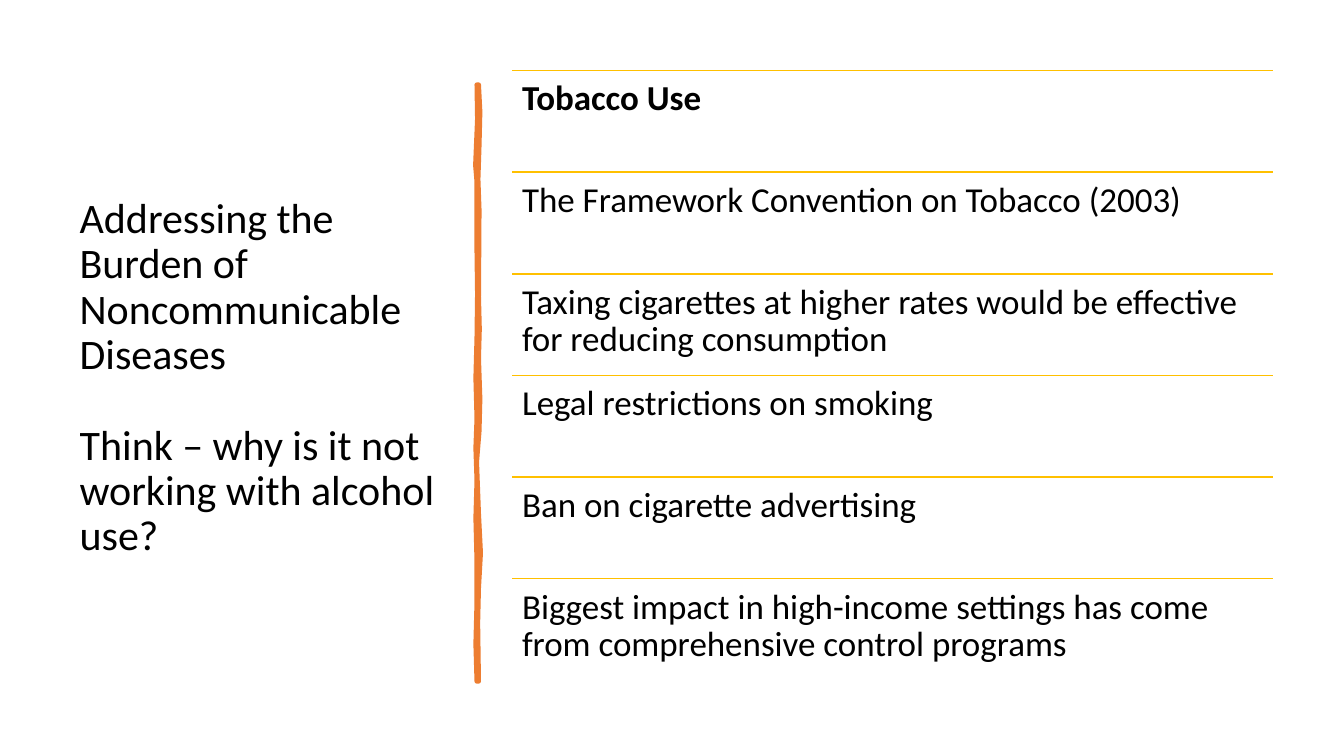
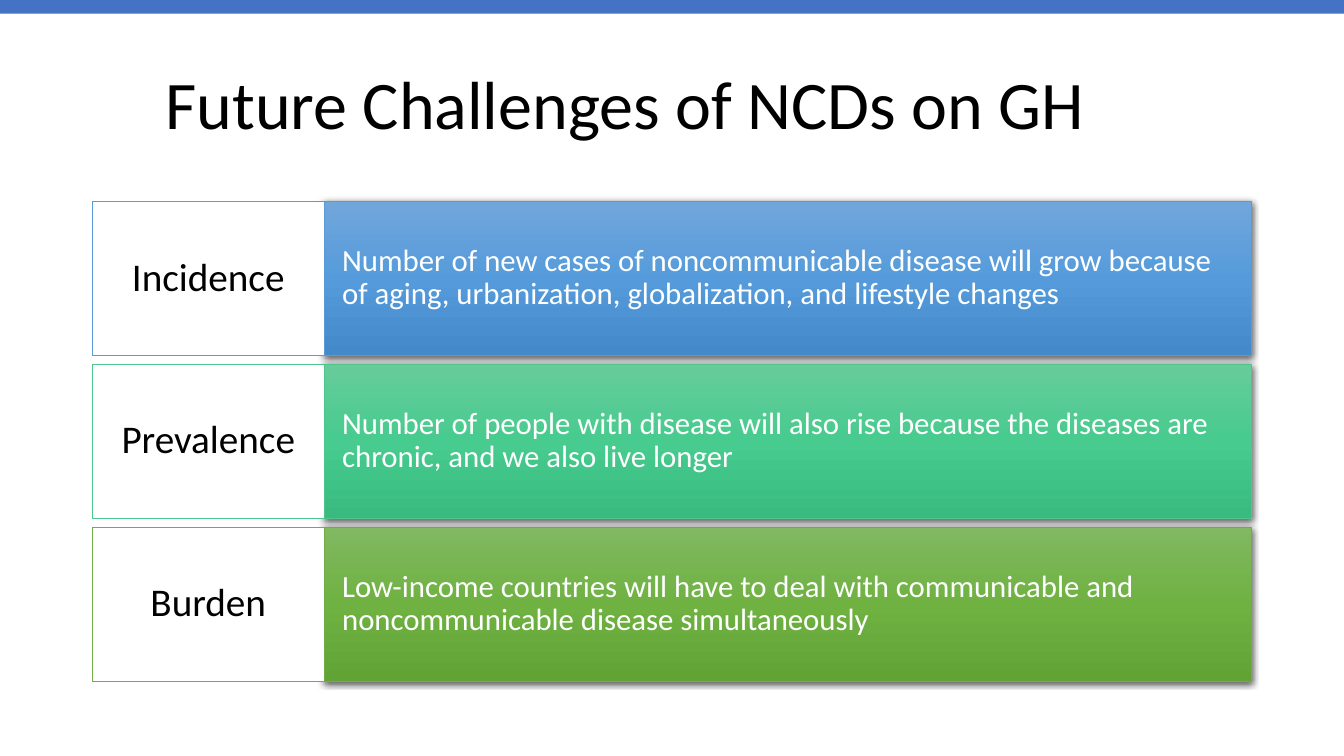
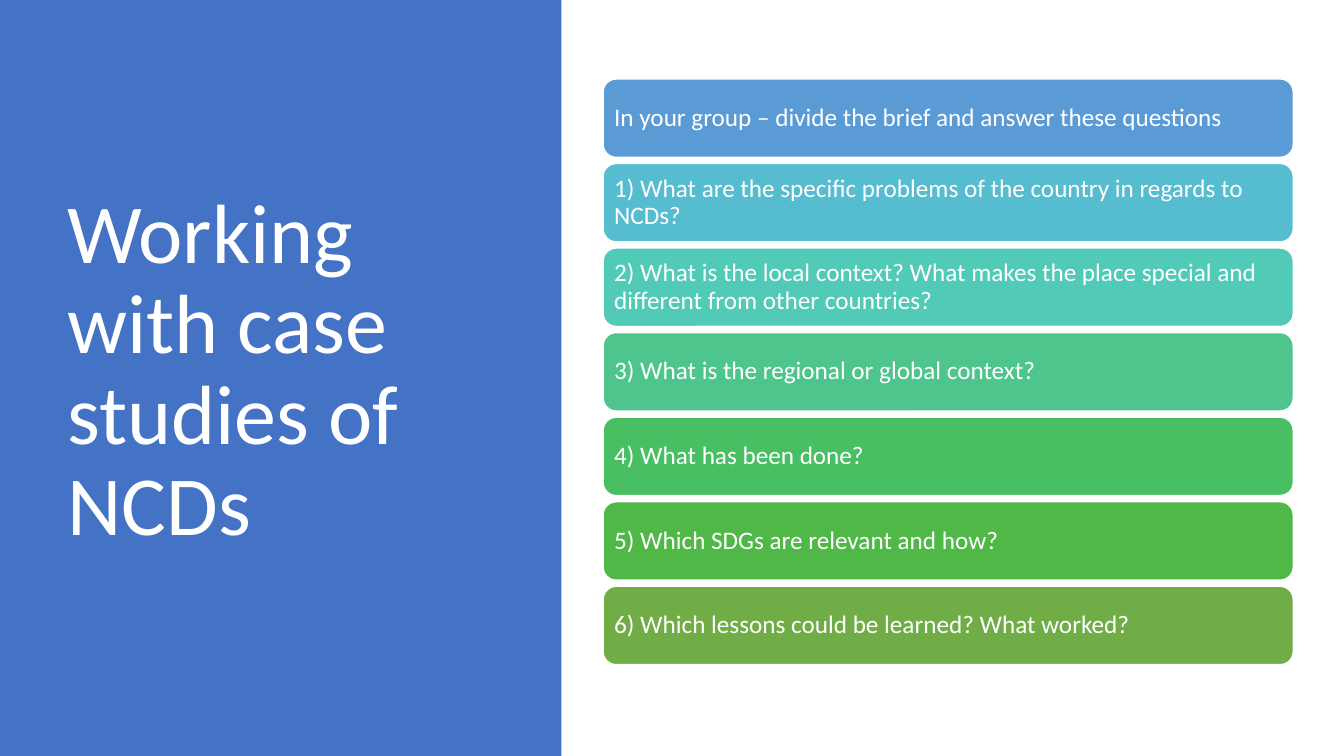
from copy import deepcopy
from dataclasses import dataclass
from typing import NamedTuple

from lxml import etree
from pptx import Presentation
from pptx.dml.color import RGBColor
from pptx.enum import shapes as sh, text as tx
from pptx.oxml.ns import qn
from pptx.util import Pt


@dataclass(frozen=True)
class Theme:
    font: str = "Calibri"
    ink: str = "000000"
    paper: str = "FFFFFF"
    accent: str = "4472C4"
    brush: str = "ED7D31"
    rule: str = "FFC000"
    side: float = 30
    head: float = 48.6
    hero: float = 60
    item: float = 25
    label: float = 28
    body: float = 22
    card: float = 18


class Box(NamedTuple):
    left: float
    top: float
    width: float
    height: float

    def down(self, step: float) -> "Box":
        return self._replace(top=self.top + step)

    def pts(self) -> list:
        return [Pt(round(v, 2)) for v in self]


class Style(NamedTuple):
    size: float
    color: str
    align: tx.PP_ALIGN = tx.PP_ALIGN.LEFT
    anchor: tx.MSO_ANCHOR = tx.MSO_ANCHOR.MIDDLE
    bold: bool = False
    gap: float = 0


class Trend(NamedTuple):
    name: str
    note: str
    line: str
    stops: tuple


class Card(NamedTuple):
    words: str
    fill: str


T = Theme()

ITEMS = (
    "Tobacco Use",
    "The Framework Convention on Tobacco (2003)",
    "Taxing cigarettes at higher rates would be effective for reducing consumption",
    "Legal restrictions on smoking",
    "Ban on cigarette advertising",
    "Biggest impact in high-income settings has come from comprehensive control programs",
)
TRENDS = (
    Trend("Incidence",
          "Number of new cases of noncommunicable disease will grow because "
          "of aging, urbanization, globalization, and lifestyle changes",
          "5B9BD5", ("71A6DB", "559BDB", "448ACA")),
    Trend("Prevalence",
          "Number of people with disease will also rise because the diseases "
          "are chronic, and we also live longer",
          "4DC58D", ("67CC9A", "47CB8E", "39BB7F")),
    Trend("Burden",
          "Low-income countries will have to deal with communicable and "
          "noncommunicable disease simultaneously",
          "70AD47", ("81B861", "6FB242", "62A336")),
)
CARDS = (
    Card("In your group – divide the brief and answer these questions", "5B9BD5"),
    Card("1) What are the specific problems of the country in regards to NCDs?", "56BCD0"),
    Card("2) What is the local context? What makes the place special and "
         "different from other countries?", "52CAB8"),
    Card("3) What is the regional or global context?", "4DC58D"),
    Card("4) What has been done?", "49BF64"),
    Card("5) Which SDGs are relevant and how?", "50B846"),
    Card("6) Which lessons could be learned? What worked?", "70AD47"),
)
# Brush stroke outline: (x, y) down the right edge, then up the left edge
STROKE = (
    (342, 60.5), (343, 80), (342.4, 104), (341.6, 128), (342.4, 150),
    (342, 212), (342.6, 235), (342, 256), (343, 285), (342.4, 308),
    (340.6, 330), (342, 367), (343.4, 395), (342, 420), (341.4, 445),
    (342, 486.7), (340.6, 486.7), (339.8, 460), (340.6, 430), (340.6, 401),
    (339.8, 370), (340.6, 343), (339.8, 320), (340.6, 299), (339.8, 270),
    (340.6, 241), (341, 210), (340.6, 180), (340.6, 130), (339.6, 118),
    (341, 85), (340.6, 60.5),
)


def rgb(code: str) -> RGBColor:
    return RGBColor.from_string(code)


def write(shape, words: str, style: Style, inset: tuple = (7.2, 3.6)) -> None:
    """Set the text of a shape; inset is (sides, top and bottom)."""
    frame = shape.text_frame
    frame.text = words
    frame.word_wrap = True
    frame.auto_size = tx.MSO_AUTO_SIZE.NONE
    frame.vertical_anchor = style.anchor
    frame.margin_left = frame.margin_right = Pt(inset[0])
    frame.margin_top = frame.margin_bottom = Pt(inset[1])
    for i, para in enumerate(frame.paragraphs):
        para.alignment = style.align
        para.line_spacing = 0.9
        para.space_before = Pt(style.gap if i else 0)
        for run in para.runs:
            font = run.font
            font.name, font.size, font.bold = T.font, Pt(style.size), style.bold
            font.color.rgb = rgb(style.color)


def title(slide, box: Box, words: str, style: Style) -> None:
    """Fill the title placeholder and bring it in front of what is drawn."""
    head = slide.shapes.title
    head.left, head.top, head.width, head.height = box.pts()
    write(head, words, style)
    head.element.getparent().append(head.element)


def block(slide, box: Box, fill: str, line: str = "", width: float = 1,
          kind: sh.MSO_SHAPE = sh.MSO_SHAPE.RECTANGLE):
    shape = slide.shapes.add_shape(kind, *box.pts())
    shape.shadow.inherit = False
    shape.fill.solid()
    shape.fill.fore_color.rgb = rgb(fill)
    if line:
        shape.line.color.rgb = rgb(line)
        shape.line.width = Pt(width)
    else:
        shape.line.fill.background()
    return shape


def shade(shape, stops: tuple) -> None:
    """Give a shape a top-down gradient of three stops and a soft shadow."""
    fill = shape.fill
    fill.gradient()
    fill.gradient_angle = 270
    props = shape.element.spPr
    group = props.find(qn("a:gradFill")).find(qn("a:gsLst"))
    group.append(deepcopy(group[-1]))
    for stop, code, pos in zip(fill.gradient_stops, stops, (0, 0.5, 1)):
        stop.color.rgb = rgb(code)
        stop.position = pos
    cast = etree.SubElement(
        props.find(qn("a:effectLst")), qn("a:outerShdw"), blurRad=str(Pt(4.5)),
        dist=str(Pt(1.5)), dir="5400000", algn="ctr", rotWithShape="0")
    tone = etree.SubElement(cast, qn("a:srgbClr"), val=T.ink)
    etree.SubElement(tone, qn("a:alpha"), val="63000")


def rule(slide, box: Box) -> None:
    """Draw a line along the top edge of a box."""
    left, top, width, _ = box.pts()
    line = slide.shapes.add_connector(
        sh.MSO_CONNECTOR.STRAIGHT, left, top, left + width, top)
    line.line.color.rgb = rgb(T.rule)
    line.line.width = Pt(1)
    etree.SubElement(line.element.spPr, qn("a:effectLst"))


def brush(slide) -> None:
    pts = [(Pt(x), Pt(y)) for x, y in STROKE]
    pen = slide.shapes.build_freeform(*pts[0])
    pen.add_line_segments(pts[1:], close=True)
    shape = pen.convert_to_shape()
    shape.shadow.inherit = False
    shape.fill.solid()
    shape.fill.fore_color.rgb = rgb(T.brush)
    shape.line.color.rgb = rgb(T.brush)
    shape.line.width = Pt(3.25)
    etree.SubElement(shape.element.spPr.find(qn("a:ln")), qn("a:round"))


def tobacco(slide) -> None:
    title(slide, Box(49.7, 50.4, 269.3, 440),
          "Addressing the Burden of Noncommunicable Diseases\n"
          "Think – why is it not working with alcohol use?",
          Style(T.side, T.ink, gap=32.5))
    brush(slide)
    first = Box(365.8, 50.4, 543.6, 72.6)
    for i, words in enumerate(ITEMS):
        box = first.down(i * first.height)
        rule(slide, box)
        item = slide.shapes.add_textbox(*box.pts())
        write(item, words, Style(T.item, T.ink, anchor=tx.MSO_ANCHOR.TOP,
                                 bold=i == 0), (7.2, 7.2))


def future(slide) -> None:
    title(slide, Box(110.9, 24.5, 743, 104.4), "Future Challenges of NCDs on GH",
          Style(T.head, T.ink))
    block(slide, Box(0, 0, 960, 9.8), T.accent)
    name = Box(66, 144, 165.6, 109.6)
    note = Box(name.left + name.width, name.top, 662.6, name.height)
    for i, trend in enumerate(TRENDS):
        step = i * 116.4
        bar = block(slide, note.down(step), trend.stops[1], trend.line, 0.5)
        shade(bar, trend.stops)
        write(bar, trend.note, Style(T.body, T.paper), (12.8, 28))
        tag = block(slide, name.down(step), T.paper, trend.line, 0.5)
        write(tag, trend.name, Style(T.label, T.ink, tx.PP_ALIGN.CENTER), (8.8, 10.8))


def cases(slide) -> None:
    block(slide, Box(0, 0, 401, 540), T.accent)
    title(slide, Box(41, 49, 299.5, 433.4), "Working with case studies of NCDs",
          Style(T.hero, T.paper))
    first = Box(430.8, 56.4, 493, 56)
    for i, card in enumerate(CARDS):
        tile = block(slide, first.down(i * 60.4), card.fill, T.paper,
                     kind=sh.MSO_SHAPE.ROUNDED_RECTANGLE)
        write(tile, card.words, Style(T.card, T.paper), (5.2, 5.2))


def main() -> None:
    deck = Presentation()
    deck.slide_width, deck.slide_height = Pt(960), Pt(540)
    for draw in (tobacco, future, cases):
        draw(deck.slides.add_slide(deck.slide_layouts[5]))
    deck.save("out.pptx")


if __name__ == "__main__":
    main()
